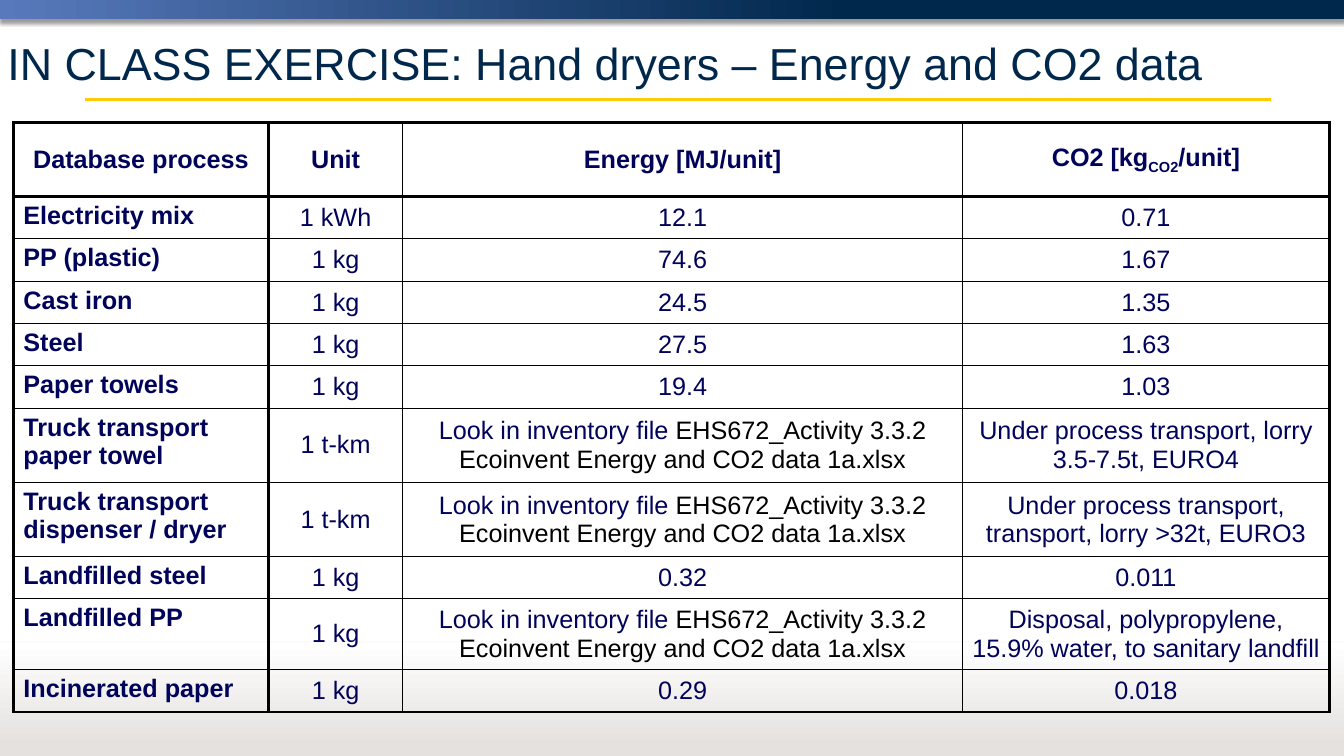
"""Build the hand dryer energy and CO2 exercise slide."""
from dataclasses import dataclass
from typing import Optional

from lxml import etree
from pptx import Presentation
from pptx.dml.color import RGBColor
from pptx.enum.shapes import MSO_CONNECTOR, MSO_SHAPE
from pptx.enum.text import MSO_ANCHOR, PP_ALIGN
from pptx.oxml.ns import qn
from pptx.slide import Slide
from pptx.table import _Cell
from pptx.util import Inches, Pt

STRAIGHT = MSO_CONNECTOR.STRAIGHT
RECTANGLE = MSO_SHAPE.RECTANGLE
TOP, MIDDLE = MSO_ANCHOR.TOP, MSO_ANCHOR.MIDDLE
LEFT, CENTER = PP_ALIGN.LEFT, PP_ALIGN.CENTER

FONT = "Arial"
NAVY, INK, BLACK, GREY = "00274C", "01035B", "000000", "E4E1DF"
WIDTH, HEIGHT = 17.78, 10
COLUMN_WIDTHS = (3.37, 1.78, 7.4, 4.86)
ONE_LINE, TWO_LINES = 0.56, 0.98
THICK, THIN = 3, 1


@dataclass(frozen=True)
class Span:
    text: str
    color: str = INK
    baseline: int = 0


@dataclass(frozen=True)
class Shadow:
    opacity: int
    blur: float
    distance: float


@dataclass(frozen=True)
class Band:
    top: float
    height: float
    stops: tuple[tuple[float, str], tuple[float, str]]
    angle: int
    shadow: Optional[Shadow] = None


@dataclass(frozen=True)
class Rule:
    left: float
    right: float
    top: float
    color: str
    weight: float
    opacity: int = 100
    shadow: Optional[Shadow] = None


@dataclass(frozen=True)
class Row:
    process: str
    unit: str
    energy: tuple[Span, ...]
    carbon: tuple[Span, ...]
    height: float = ONE_LINE


def value_row(process: str, unit: str, energy: str, carbon: str) -> Row:
    return Row(process, unit, (Span(energy),), (Span(carbon),))


def lookup_row(process: str, unit: str, hint: str, height: float = TWO_LINES) -> Row:
    source = (Span("Look in inventory file "),
              Span("EHS672_Activity 3.3.2 Ecoinvent Energy and CO2 data 1a.xlsx", BLACK))
    return Row(process, unit, source, (Span(hint),), height)


TOP_BAND = Band(0, 0.25, ((0, "587ABC"), (0.63, NAVY)), 0, Shadow(40, 4, 3))
TITLE_RULE = Rule(1.12, 16.81, 1.32, "FFCB05", 3)
BOTTOM_BAND = Band(8.5, 1.5, ((0.08, GREY), (1, "FFFFFF")), 90)
BOTTOM_RULE = Rule(0, WIDTH, 8.49, GREY, 0.75, 30, Shadow(38, 3.1, 1.6))

ROWS = (
    Row("Database process", "Unit", (Span("Energy [MJ/unit]"),),
        (Span("CO2 [kg"), Span("CO2", baseline=-25), Span("/unit]")), TWO_LINES),
    value_row("Electricity mix", "1 kWh", "12.1", "0.71"),
    value_row("PP (plastic)", "1 kg", "74.6", "1.67"),
    value_row("Cast iron", "1 kg", "24.5", "1.35"),
    value_row("Steel", "1 kg", "27.5", "1.63"),
    value_row("Paper towels", "1 kg", "19.4", "1.03"),
    lookup_row("Truck transport paper towel", "1 t-km",
               "Under process transport, lorry 3.5-7.5t, EURO4"),
    lookup_row("Truck transport dispenser / dryer", "1 t-km",
               "Under process transport, transport, lorry >32t, EURO3"),
    value_row("Landfilled steel", "1 kg", "0.32", "0.011"),
    lookup_row("Landfilled PP", "1 kg",
               "Disposal, polypropylene, 15.9% water, to sanitary landfill", 0.93),
    value_row("Incinerated paper", "1 kg", "0.29", "0.018"),
)


def rgb(color: str) -> RGBColor:
    return RGBColor.from_string(color)


def add_color(parent: etree._Element, color: str, opacity: int = 100) -> None:
    element = etree.SubElement(parent, qn("a:srgbClr"), val=color)
    if opacity < 100:
        etree.SubElement(element, qn("a:alpha"), val=str(opacity * 1000))


def set_shadow(properties: etree._Element, shadow: Optional[Shadow]) -> None:
    effects = etree.SubElement(properties, qn("a:effectLst"))
    if shadow:
        outer = etree.SubElement(effects, qn("a:outerShdw"), blurRad=str(Pt(shadow.blur)),
                                 dist=str(Pt(shadow.distance)), dir="5400000",
                                 rotWithShape="0")
        add_color(outer, BLACK, shadow.opacity)


def draw_band(page: Slide, band: Band) -> None:
    shape = page.shapes.add_shape(RECTANGLE, Inches(0), Inches(band.top),
                                  Inches(WIDTH), Inches(band.height))
    shape.fill.gradient()
    shape.fill.gradient_angle = band.angle
    for stop, (position, color) in zip(shape.fill.gradient_stops, band.stops):
        stop.position = position
        stop.color.rgb = rgb(color)
    shape.line.fill.background()
    set_shadow(shape.element.spPr, band.shadow)


def draw_rule(page: Slide, rule: Rule) -> None:
    line = page.shapes.add_connector(STRAIGHT, Inches(rule.left), Inches(rule.top),
                                     Inches(rule.right), Inches(rule.top))
    line.line.width = Pt(rule.weight)
    line.line.color.rgb = rgb(rule.color)
    if rule.opacity < 100:
        color = line.element.spPr.find(".//" + qn("a:srgbClr"))
        etree.SubElement(color, qn("a:alpha"), val=str(rule.opacity * 1000))
    set_shadow(line.element.spPr, rule.shadow)


def draw_title(page: Slide, text: str) -> None:
    box = page.shapes.add_textbox(Inches(0), Inches(0.38), Inches(17.77), Inches(0.89))
    frame = box.text_frame
    frame.word_wrap = True
    frame.vertical_anchor = MIDDLE
    frame.text = text
    font = frame.paragraphs[0].runs[0].font
    font.name, font.size, font.color.rgb = FONT, Pt(42.7), rgb(NAVY)


def set_borders(cell: _Cell, row: int, column: int) -> None:
    thick_columns, thick_rows = (0, 1, len(COLUMN_WIDTHS)), (0, 1, len(ROWS))
    edges = {"a:lnL": column in thick_columns, "a:lnR": column + 1 in thick_columns,
             "a:lnT": row in thick_rows, "a:lnB": row + 1 in thick_rows}
    properties = cell._tc.get_or_add_tcPr()
    for tag, thick in edges.items():
        line = etree.SubElement(properties, qn(tag), w=str(Pt(THICK if thick else THIN)))
        add_color(etree.SubElement(line, qn("a:solidFill")), BLACK)


def write_cell(cell: _Cell, spans: tuple[Span, ...], bold: bool, centered: bool) -> None:
    cell.margin_left = cell.margin_right = Inches(0.13)
    cell.margin_top = cell.margin_bottom = Inches(0.07)
    cell.vertical_anchor = MIDDLE if centered else TOP
    para = cell.text_frame.paragraphs[0]
    para.alignment = CENTER if centered else LEFT
    for span in spans:
        run = para.add_run()
        run.text = span.text
        font = run.font
        font.name, font.size, font.bold = FONT, Pt(24), bold
        font.color.rgb = rgb(span.color)
        if span.baseline:
            run._r.get_or_add_rPr().set("baseline", str(span.baseline * 1000))


def draw_table(page: Slide) -> None:
    frame = page.shapes.add_table(len(ROWS), len(COLUMN_WIDTHS), Inches(0.18), Inches(1.62),
                                  Inches(sum(COLUMN_WIDTHS)),
                                  Inches(sum(row.height for row in ROWS)))
    table = frame.table
    table.first_row = table.horz_banding = False
    for column, width in zip(table.columns, COLUMN_WIDTHS):
        column.width = Inches(width)
    for i, row in enumerate(ROWS):
        table.rows[i].height = Inches(row.height)
        contents = ((Span(row.process),), (Span(row.unit),), row.energy, row.carbon)
        for j, spans in enumerate(contents):
            cell = table.cell(i, j)
            set_borders(cell, i, j)
            cell.fill.background()
            write_cell(cell, spans, bold=i == 0 or j == 0, centered=i == 0 or j > 0)


def main() -> None:
    deck = Presentation()
    deck.slide_width, deck.slide_height = Inches(WIDTH), Inches(HEIGHT)
    page = deck.slides.add_slide(deck.slide_layouts[6])
    draw_band(page, TOP_BAND)
    draw_rule(page, TITLE_RULE)
    draw_band(page, BOTTOM_BAND)
    draw_rule(page, BOTTOM_RULE)
    draw_title(page, "IN CLASS EXERCISE: Hand dryers – Energy and CO2 data")
    draw_table(page)
    deck.save("out.pptx")


if __name__ == "__main__":
    main()
